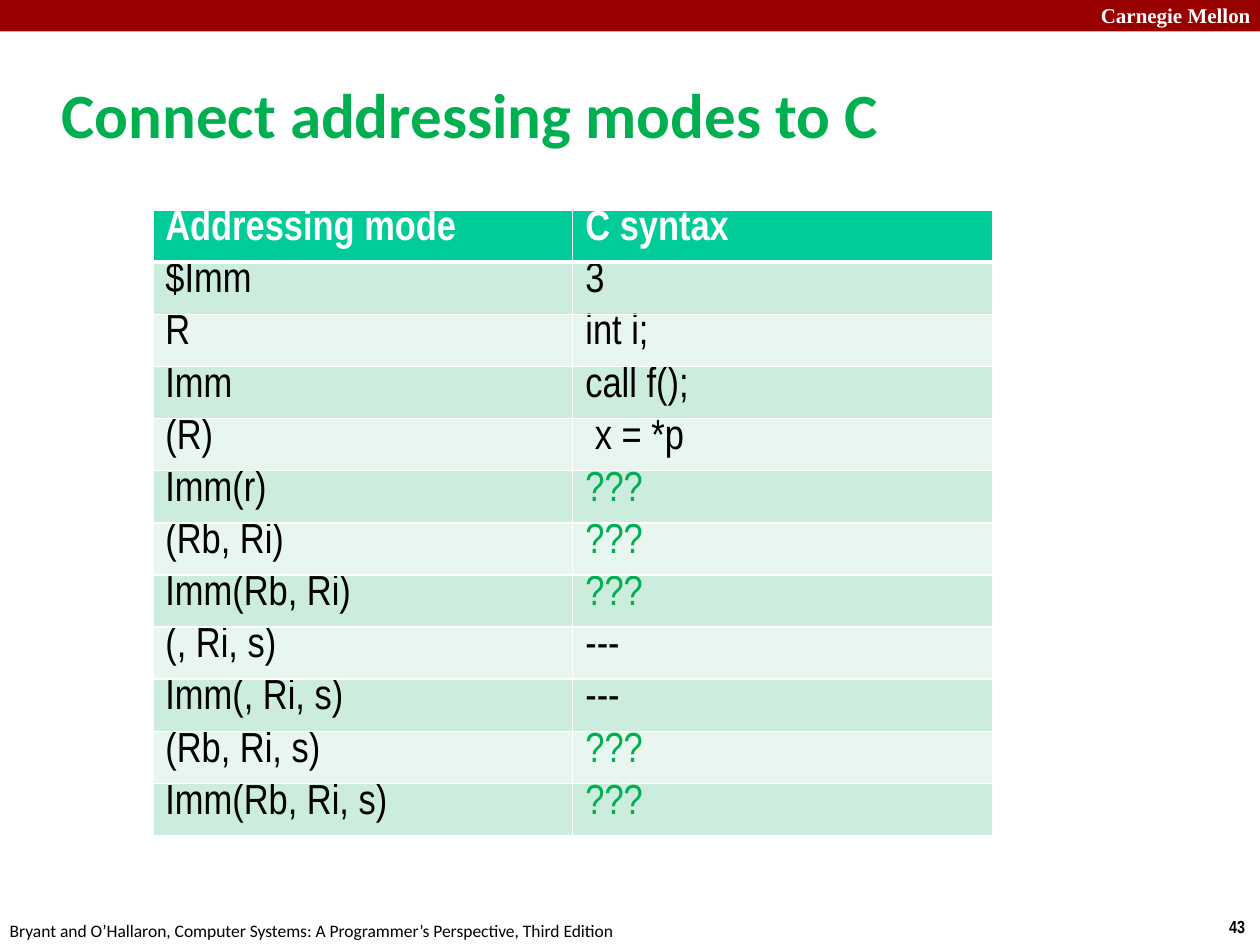
from lxml import etree
from pptx import Presentation
from pptx.dml.color import RGBColor
from pptx.enum import shapes, text
from pptx.oxml.ns import qn
from pptx.util import Pt

COLORS = {
    "bar": "990000", "white": "FFFFFF", "black": "000000", "green": "00B050",
    "header": "00CC99", "odd": "CCECDE", "even": "E7F6EF",
}
ROWS = [
    ("Addressing mode", "C syntax"),
    ("$Imm", "3"),
    ("R", "int i;"),
    ("Imm", "call f();"),
    ("(R)", " x = *p"),
    ("Imm(r)", "???"),
    ("(Rb, Ri)", "???"),
    ("Imm(Rb, Ri)", "???"),
    ("(, Ri, s)", "---"),
    ("Imm(, Ri, s)", "---"),
    ("(Rb, Ri, s)", "???"),
    ("Imm(Rb, Ri, s)", "???"),
]


def rgb(name):
    return RGBColor.from_string(COLORS[name])


class SlideBuilder:
    def __init__(self, slide):
        self.s = slide

    def style(self, p, size, font, color, bold=False):
        p.font.size = Pt(size)
        p.font.name = font
        p.font.bold = bold
        p.font.color.rgb = rgb(color)

    def bar(self, x, y, w, h, color):
        sp = self.s.shapes.add_shape(shapes.MSO_SHAPE.RECTANGLE, Pt(x), Pt(y), Pt(w), Pt(h))
        sp.shadow.inherit = False
        sp.fill.solid()
        sp.fill.fore_color.rgb = rgb(color)
        sp.line.fill.background()

    def label(self, content, box, size, font, color, bold=False, wrap=True, title=False):
        tf = self.s.shapes.add_textbox(*map(Pt, box)).text_frame
        tf.word_wrap = wrap
        if title:
            tf.vertical_anchor = text.MSO_ANCHOR.MIDDLE
        else:
            tf.auto_size = text.MSO_AUTO_SIZE.SHAPE_TO_FIT_TEXT
        p = tf.paragraphs[0]
        p.text = content
        self.style(p, size, font, color, bold)

    def border(self, cell, side, width):
        """Add one white cell border; sides must come in the order L, R, T, B, before the fill."""
        ln = etree.SubElement(cell._tc.get_or_add_tcPr(), qn(f"a:ln{side}"), w=str(int(Pt(width))))
        fill = etree.SubElement(ln, qn("a:solidFill"))
        etree.SubElement(fill, qn("a:srgbClr"), val=COLORS["white"])

    def table(self, rows, x, y, w, row_height):
        shape = self.s.shapes.add_table(len(rows), len(rows[0]), Pt(x), Pt(y),
                                        Pt(w), Pt(row_height * len(rows)))
        for i, row in enumerate(rows):
            shape.table.rows[i].height = Pt(row_height)
            for j, content in enumerate(row):
                self.cell(shape.table.cell(i, j), content, i)

    def cell(self, cell, content, row):
        header = row == 0
        cell.margin_top = cell.margin_bottom = 0
        for side in "LRTB":
            thick = (header and side == "B") or (row == 1 and side == "T")
            self.border(cell, side, 3 if thick else 1)
        cell.fill.solid()
        cell.fill.fore_color.rgb = rgb("header" if header else "odd" if row % 2 else "even")
        p = cell.text_frame.paragraphs[0]
        p.text = content
        color = "white" if header else "green" if content == "???" else "black"
        self.style(p, 24, "Arial Narrow", color, header)


def main():
    prs = Presentation()
    prs.slide_width, prs.slide_height = Pt(720), Pt(540)
    b = SlideBuilder(prs.slides.add_slide(prs.slide_layouts[6]))
    b.bar(0, 0, 720, 18, "bar")
    b.label("Carnegie Mellon", (622, -2, 103, 21.8), 12, "Times New Roman", "white", bold=True)
    b.label("43", (695.3, 520, 24.7, 19.4), 10, "Arial Narrow", "black", bold=True, wrap=False)
    b.label("Bryant and O’Hallaron, Computer Systems: A Programmer’s Perspective, Third Edition",
            (-1.5, 522, 366, 19.4), 10, "Calibri", "black", wrap=False)
    b.label("Connect addressing modes to C", (28, 34.5, 597.5, 60), 36, "Calibri", "green",
            bold=True, title=True)
    b.table(ROWS, 87.3, 120, 480, 29.8)
    prs.save("out.pptx")


if __name__ == "__main__":
    main()
